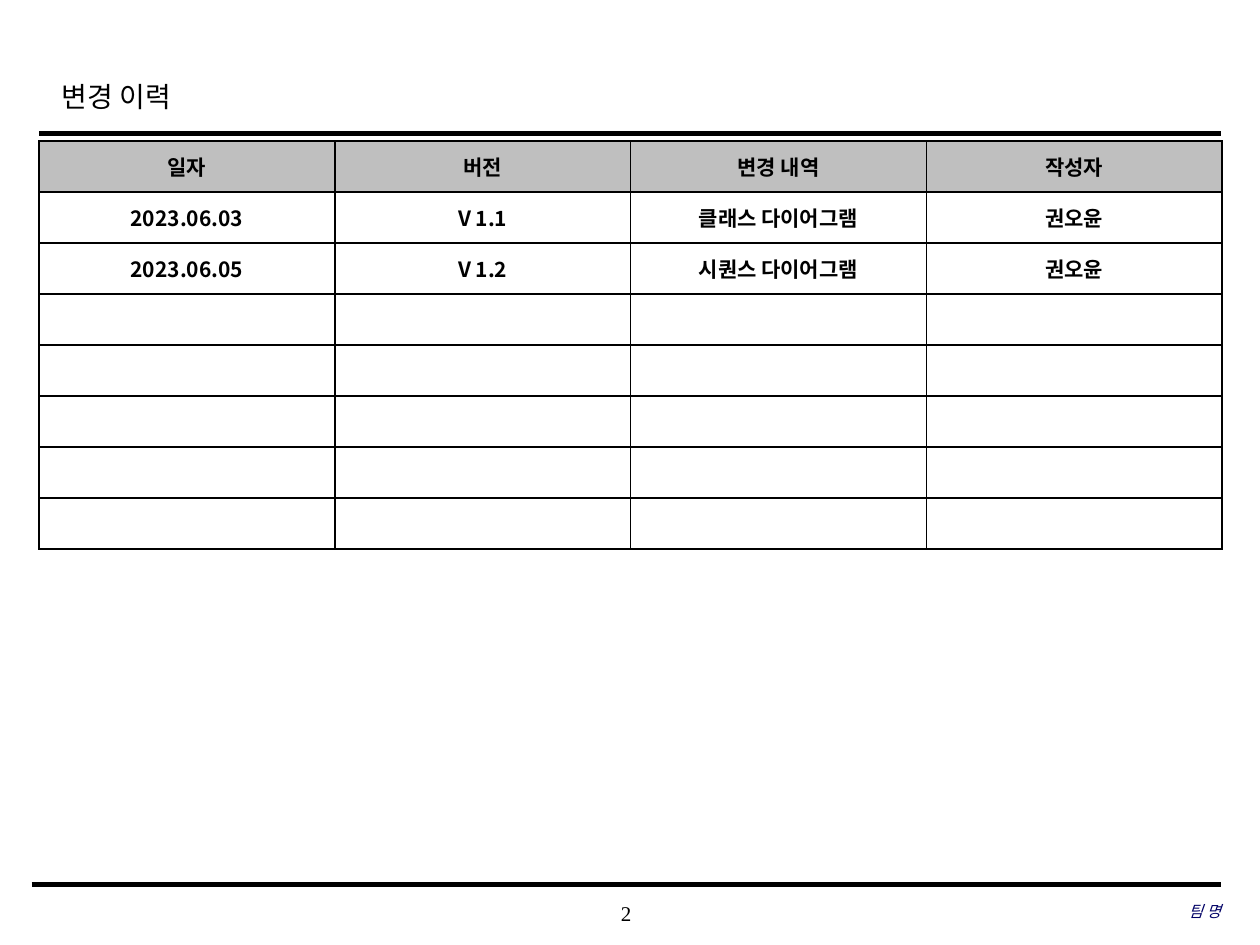
import pptx
import pptx.util
import pptx.dml.color
import pptx.enum.shapes
import pptx.enum.text
import pptx.oxml.ns
from lxml import etree

RGBColor = pptx.dml.color.RGBColor
ALIGN = pptx.enum.text.PP_ALIGN
ANCHOR = pptx.enum.text.MSO_ANCHOR
qn = pptx.oxml.ns.qn

BLACK = RGBColor(0x00, 0x00, 0x00)
WHITE = RGBColor(0xFF, 0xFF, 0xFF)
GRAY = RGBColor(0xBF, 0xBF, 0xBF)
NAVY = RGBColor(0x00, 0x00, 0x66)

SERIF = "Times New Roman"
SANS = "Noto Sans CJK KR"

HISTORY = [
    ("일자", "버전", "변경 내역", "작성자"),
    ("2023.06.03", "V 1.1", "클래스 다이어그램", "권오윤"),
    ("2023.06.05", "V 1.2", "시퀀스 다이어그램", "권오윤"),
]
TABLE_ROWS = 8


class Page:
    """One slide on a grid of 100 columns by 75 rows, with its text style."""

    def __init__(self, prs):
        self.col = prs.slide_width / 100
        self.row = prs.slide_height / 75
        self.s = prs.slides.add_slide(prs.slide_layouts[5])

    def box(self, x, y, w, h):
        """Turn grid columns and rows into slide lengths."""
        return [round(v * unit) for v, unit in
                zip((x, y, w, h), (self.col, self.row) * 2)]

    def run(self, p, text, size, font=SERIF, color=BLACK, bold=False, italic=False):
        r = p.add_run()
        r.text = text
        r.font.name = font
        r.font.size = pptx.util.Pt(size)
        r.font.color.rgb = color
        r.font.bold = bold
        r.font.italic = italic
        etree.SubElement(r.font._element, qn("a:ea"), typeface=SANS)

    def title(self, text, *area):
        sp = self.s.shapes.title
        sp.left, sp.top, sp.width, sp.height = self.box(*area)
        tf = sp.text_frame
        tf.auto_size = pptx.enum.text.MSO_AUTO_SIZE.NONE
        tf.vertical_anchor = ANCHOR.MIDDLE
        p = tf.paragraphs[0]
        p.alignment = ALIGN.LEFT
        p.line_spacing = 1.2
        self.run(p, text, 16)

    def label(self, text, area, align, size, **style):
        tf = self.s.shapes.add_textbox(*self.box(*area)).text_frame
        tf.word_wrap = True
        tf.margin_left = tf.margin_right = tf.margin_top = tf.margin_bottom = 0
        tf.vertical_anchor = ANCHOR.MIDDLE
        p = tf.paragraphs[0]
        p.alignment = align
        self.run(p, text, size, **style)

    def rule(self, x1, x2, y, width):
        line = self.s.shapes.add_connector(
            pptx.enum.shapes.MSO_CONNECTOR.STRAIGHT, *self.box(x1, y, x2, y))
        line.line.color.rgb = BLACK
        line.line.width = pptx.util.Pt(width)
        etree.SubElement(line._element.spPr, qn("a:effectLst"))

    def border(self, cell, width=1):
        tc_pr = cell._tc.get_or_add_tcPr()
        for i, side in enumerate(("lnL", "lnR", "lnT", "lnB")):
            ln = etree.Element(qn(f"a:{side}"), w=str(pptx.util.Pt(width)))
            fill = etree.SubElement(ln, qn("a:solidFill"))
            etree.SubElement(fill, qn("a:srgbClr"), val=str(BLACK))
            tc_pr.insert(i, ln)

    def table(self, rows, row_count, *area, size=12):
        """Draw a header row, the filled rows, then empty rows up to row_count."""
        table = self.s.shapes.add_table(
            row_count, len(rows[0]), *self.box(*area)).table
        table.horz_banding = False
        for i in range(row_count):
            texts = rows[i] if i < len(rows) else [""] * len(rows[0])
            for cell, text in zip(table.rows[i].cells, texts):
                cell.fill.solid()
                cell.fill.fore_color.rgb = WHITE if i else GRAY
                cell.vertical_anchor = ANCHOR.MIDDLE
                self.border(cell)
                p = cell.text_frame.paragraphs[0]
                p.alignment = ALIGN.CENTER
                if text:
                    self.run(p, text, size, font=SANS, bold=True)
                else:
                    etree.SubElement(p._p, qn("a:endParaRPr"), sz=str(size * 100))


def main():
    prs = pptx.Presentation()
    prs.slide_width = pptx.util.Inches(10)
    prs.slide_height = pptx.util.Inches(7.5)

    page = Page(prs)
    page.title("변경 이력", 3.9, 4.9, 75.5, 5)
    page.rule(3.1, 96.9, 10.6, 2.5)
    page.table(HISTORY, TABLE_ROWS, 3.1, 11.2, 93.9, 32.4)
    page.rule(2.5, 96.9, 70.2, 3)
    page.label("2", (39.3, 70.8, 20.8, 3.3), ALIGN.CENTER, 12)
    page.label("팀 명", (66.3, 70.7, 30.6, 3.3), ALIGN.RIGHT, 9,
               color=NAVY, italic=True)

    prs.save("out.pptx")


if __name__ == "__main__":
    main()
